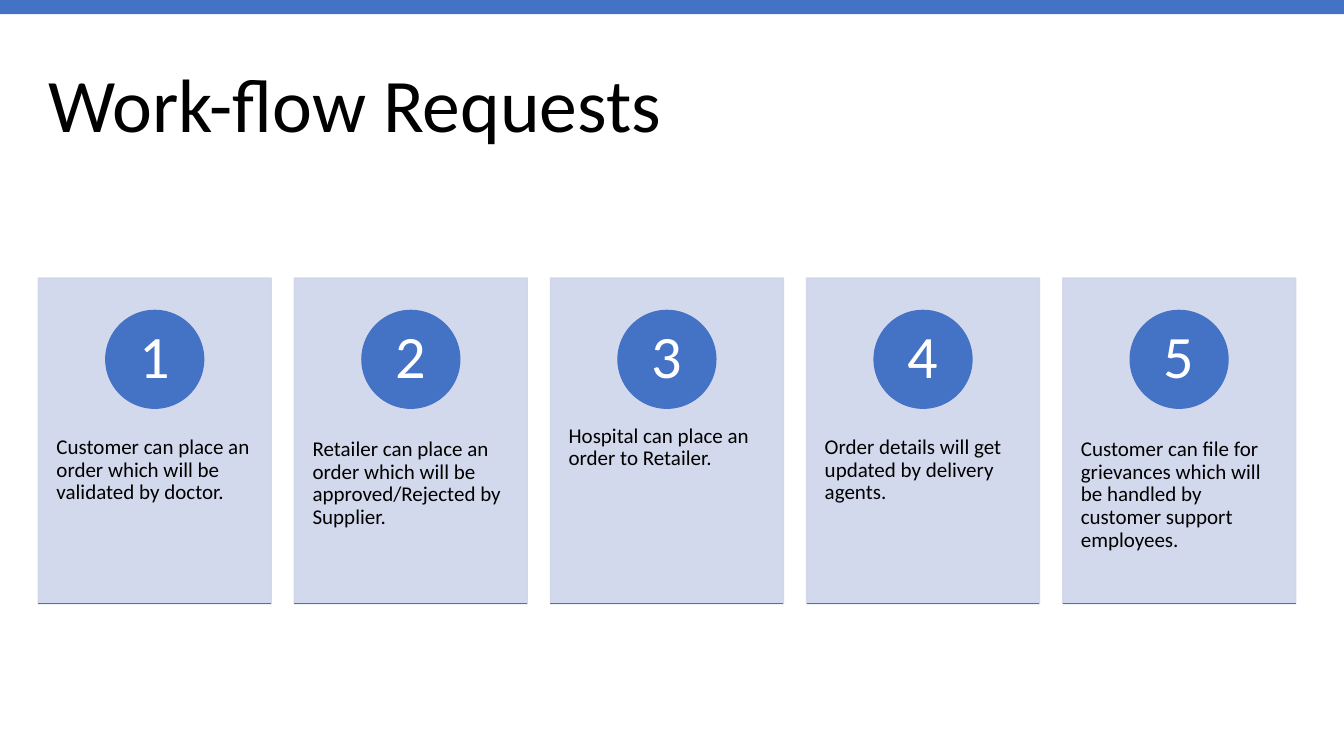
from dataclasses import dataclass

from lxml import etree
from pptx import Presentation
from pptx.dml.color import RGBColor
from pptx.enum.shapes import MSO_CONNECTOR, MSO_SHAPE
from pptx.enum.text import MSO_ANCHOR, PP_ALIGN
from pptx.oxml.ns import qn
from pptx.util import Inches, Pt

RECTANGLE, OVAL = MSO_SHAPE.RECTANGLE, MSO_SHAPE.OVAL
STRAIGHT = MSO_CONNECTOR.STRAIGHT
TOP, MIDDLE = MSO_ANCHOR.TOP, MSO_ANCHOR.MIDDLE
LEFT, CENTER = PP_ALIGN.LEFT, PP_ALIGN.CENTER

FONT = "Calibri"
BLUE, PALE, BLACK, WHITE = "4472C4", "CFD5EA", "000000", "FFFFFF"

SLIDE_WIDTH, SLIDE_HEIGHT = 13.33, 7.5
BAR_HEIGHT = 0.14
MARGIN = 0.38
COLUMN_STEP, CARD_WIDTH = 2.54, 2.31
CARD_TOP, CARD_HEIGHT = 2.76, 3.23
CIRCLE_SIZE, CIRCLE_DROP = 0.97, 0.32
REQUEST_DROP, REQUEST_HEIGHT = 1.23, 1.94


@dataclass(frozen=True)
class Area:
    left: float
    top: float
    width: float
    height: float

    def emu(self) -> tuple:
        return tuple(map(Inches, (self.left, self.top, self.width, self.height)))


REQUESTS = (
    "Customer can place an order which will be validated by doctor.",
    "Retailer can place an order which will be approved/Rejected by Supplier.",
    "Hospital can place an order to Retailer.",
    "Order details will get updated by delivery agents.",
    "Customer can file for grievances which will be handled by customer support employees.",
)


def paint(color_format, color: str, opacity: int = 100) -> None:
    """Set a solid fill or line fill, with opacity in percent."""
    color_format.solid()
    color_format.fore_color.rgb = RGBColor.from_string(color)
    if opacity < 100:
        choice = color_format._xPr.find(qn("a:solidFill"))[0]
        etree.SubElement(choice, qn("a:alpha")).set("val", str(opacity * 1000))


def add_block(slide, kind, area: Area, color: str, opacity: int = 100, outlined: bool = True):
    block = slide.shapes.add_shape(kind, *area.emu())
    block.shadow.inherit = False
    paint(block.fill, color, opacity)
    if outlined:
        block.line.width = Pt(1)
        paint(block.line.fill, color, opacity)
    else:
        block.line.fill.background()
    return block


def write(box, text: str, *, size: float, color: str = BLACK, align=LEFT, anchor=TOP,
          inset: tuple = (0.1, 0.05)) -> None:
    """Fill a shape with one paragraph; inset is (horizontal, vertical) inches."""
    frame = box.text_frame
    frame.word_wrap = True
    frame.vertical_anchor = anchor
    frame.margin_left = frame.margin_right = Inches(inset[0])
    frame.margin_top = frame.margin_bottom = Inches(inset[1])
    para = frame.paragraphs[0]
    para.alignment = align
    para.line_spacing = 0.9
    span = para.add_run()
    span.text = text
    span.font.name = FONT
    span.font.size = Pt(size)
    span.font.color.rgb = RGBColor.from_string(color)


def add_underline(slide, left: float, top: float, width: float) -> None:
    underline = slide.shapes.add_connector(
        STRAIGHT, Inches(left), Inches(top), Inches(left + width), Inches(top))
    underline.line.width = Pt(1)
    paint(underline.line.fill, BLUE)
    etree.SubElement(underline._element.spPr, qn("a:effectLst"))


def add_card(slide, column: int, request: str) -> None:
    left = MARGIN + column * COLUMN_STEP
    add_block(slide, RECTANGLE, Area(left, CARD_TOP, CARD_WIDTH, CARD_HEIGHT), PALE, opacity=90)

    request_area = Area(left, CARD_TOP + REQUEST_DROP, CARD_WIDTH, REQUEST_HEIGHT)
    request_box = slide.shapes.add_textbox(*request_area.emu())
    write(request_box, request, size=15, inset=(0.18, 0.36))

    circle_left = left + (CARD_WIDTH - CIRCLE_SIZE) / 2
    circle_area = Area(circle_left, CARD_TOP + CIRCLE_DROP, CIRCLE_SIZE, CIRCLE_SIZE)
    circle = add_block(slide, OVAL, circle_area, BLUE)
    write(circle, str(column + 1), size=43, color=WHITE, align=CENTER, anchor=MIDDLE,
          inset=(0.08, 0.01))

    add_underline(slide, left, CARD_TOP + CARD_HEIGHT, CARD_WIDTH)


def main() -> None:
    deck = Presentation()
    deck.slide_width, deck.slide_height = Inches(SLIDE_WIDTH), Inches(SLIDE_HEIGHT)
    page = deck.slides.add_slide(deck.slide_layouts[6])

    title_area = Area(MARGIN, 0.35, SLIDE_WIDTH - 2 * MARGIN, 1.45)
    title = page.shapes.add_textbox(*title_area.emu())
    write(title, "Work-flow Requests", size=54, anchor=MIDDLE)

    add_block(page, RECTANGLE, Area(0, 0, SLIDE_WIDTH, BAR_HEIGHT), BLUE, outlined=False)
    for column, request in enumerate(REQUESTS):
        add_card(page, column, request)

    deck.save("out.pptx")


if __name__ == "__main__":
    main()
